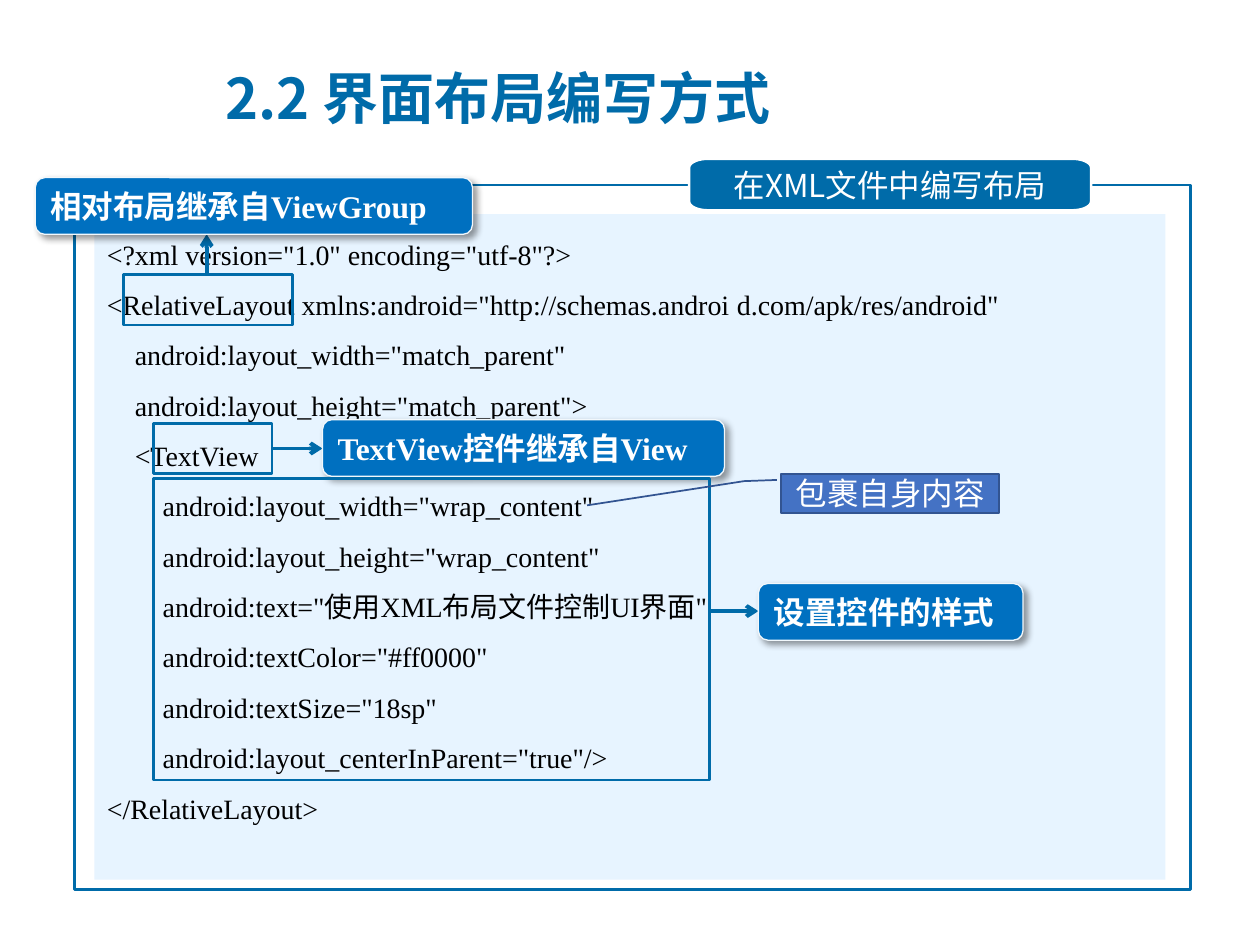
from dataclasses import dataclass
from math import cos, radians, sin

from lxml import etree
from pptx import Presentation
from pptx import util as u
from pptx.dml.color import RGBColor
from pptx.enum import shapes, text
from pptx.oxml.ns import qn

COLORS = {
    "theme": "006BA9", "label": "0070C0", "label_edge": "F2F8FC",
    "code_fill": "E7F4FF", "callout": "4472C4", "callout_edge": "325491",
    "white": "FFFFFF", "black": "000000",
}
SANS, SERIF = "Noto Sans CJK SC", "Times New Roman"
SHAPE = shapes.MSO_SHAPE
LEFT, CENTER = text.PP_ALIGN.LEFT, text.PP_ALIGN.CENTER
TOP, MIDDLE = text.MSO_ANCHOR.TOP, text.MSO_ANCHOR.MIDDLE

CODE = """<?xml version="1.0" encoding="utf-8"?>
<RelativeLayout xmlns:android="http://schemas.androi\td.com/apk/res/android"
    android:layout_width="match_parent"
    android:layout_height="match_parent">
    <TextView
        android:layout_width="wrap_content"
        android:layout_height="wrap_content"
        android:text="使用XML布局文件控制UI界面"
        android:textColor="#ff0000"
        android:textSize="18sp"
        android:layout_centerInParent="true"/>
</RelativeLayout>"""


@dataclass
class Box:
    left: float
    top: float
    width: float
    height: float

    def points(self) -> list:
        return [u.Pt(v) for v in (self.left, self.top, self.width, self.height)]


@dataclass
class Style:
    size: float
    color: str = "white"
    font: str = SERIF
    bold: bool = False
    align: int = LEFT
    anchor: int = MIDDLE
    spacing: float = 1.0


@dataclass
class Note:
    words: str
    label: Box
    target: Box
    start: tuple
    end: tuple


NOTES = [
    Note("相对布局继承自ViewGroup", Box(20.2, 101.5, 249.8, 32.4),
         Box(70.6, 157, 96.5, 28.8), (118.1, 157), (118.1, 133.9)),
    Note("TextView控件继承自View", Box(184.3, 239.8, 229.7, 32.4),
         Box(87.8, 241.9, 67.7, 28.8), (156.2, 256.3), (184.3, 256.3)),
    Note("设置控件的样式", Box(433.4, 333.4, 151.2, 32.4),
         Box(87.8, 273.6, 317.5, 172.1), (405.4, 349.2), (433.4, 349.2)),
]


def rgb(name: str) -> RGBColor:
    return RGBColor.from_string(COLORS[name])


def paint(sp, fill=None, line=None, width: float = 1.5) -> None:
    sp.shadow.inherit = False
    for part, color in ((sp.fill, fill), (sp.line.fill, line)):
        if color:
            part.solid()
            part.fore_color.rgb = rgb(color)
        else:
            part.background()
    if line:
        sp.line.width = u.Pt(width)


def add_box(s, kind: int, box: Box, fill=None, line=None, width: float = 1.5):
    sp = s.shapes.add_shape(kind, *box.points())
    paint(sp, fill, line, width)
    return sp


def write(sp, words: str, style: Style) -> None:
    tf = sp.text_frame
    tf.text = words
    tf.word_wrap = True
    tf.vertical_anchor = style.anchor
    for p in tf.paragraphs:
        p.alignment = style.align
        p.line_spacing = style.spacing
        for r in p.runs:
            r.font.size = u.Pt(style.size)
            r.font.bold = style.bold
            r.font.color.rgb = rgb(style.color)
            r.font.name = style.font
            ea = etree.SubElement(r.font._element, qn("a:ea"))
            ea.set("typeface", SANS)


def add_arrow(s, start: tuple, end: tuple) -> None:
    ends = [u.Pt(v) for v in (*start, *end)]
    line = s.shapes.add_connector(shapes.MSO_CONNECTOR.STRAIGHT, *ends)
    line.line.color.rgb = rgb("theme")
    line.line.width = u.Pt(2.25)
    etree.SubElement(line.line._get_or_add_ln(), qn("a:tailEnd")).set("type", "arrow")
    etree.SubElement(line._element.spPr, qn("a:effectLst"))


def add_shadow(sp) -> None:
    effects = sp._element.spPr.find(qn("a:effectLst"))
    shadow = etree.SubElement(
        effects, qn("a:outerShdw"), blurRad=str(u.Pt(4)), dist=str(u.Pt(3)),
        dir=str(45 * 60000), algn="tl", rotWithShape="0")
    color = etree.SubElement(shadow, qn("a:srgbClr"), val=COLORS["black"])
    etree.SubElement(color, qn("a:alpha"), val="40000")


def add_note(s, note: Note) -> None:
    add_box(s, SHAPE.RECTANGLE, note.target, line="theme")
    add_arrow(s, note.start, note.end)
    sp = add_box(s, SHAPE.ROUNDED_RECTANGLE, note.label, "label", "label_edge", 0.75)
    add_shadow(sp)
    write(sp, note.words, Style(18, bold=True))
    sp.text_frame.auto_size = text.MSO_AUTO_SIZE.SHAPE_TO_FIT_TEXT


def add_tab(s, box: Box, rx: float, ry: float, words: str) -> None:
    right, bottom = box.left + box.width, box.top + box.height
    corners = [
        (box.left + rx, box.top + ry, 180), (right - rx, box.top + ry, 270),
        (right - rx, bottom - ry, 0), (box.left + rx, bottom - ry, 90),
    ]
    outline = [
        (u.Pt(x + rx * cos(radians(first + step))),
         u.Pt(y + ry * sin(radians(first + step))))
        for x, y, first in corners for step in range(0, 91, 10)
    ]
    builder = s.shapes.build_freeform(*outline[0])
    builder.add_line_segments(outline[1:], close=True)
    sp = builder.convert_to_shape()
    paint(sp, "theme", "white")
    tf = sp.text_frame
    tf.margin_left = tf.margin_right = u.Pt(17)
    tf.margin_top = tf.margin_bottom = u.Pt(4.3)
    write(sp, words, Style(18, font=SANS, align=CENTER))


def add_title(s, box: Box, words: str) -> None:
    sp = s.shapes.add_textbox(*box.points())
    write(sp, words, Style(32, "theme", SANS, bold=True))
    pPr = sp.text_frame.paragraphs[0]._p.get_or_add_pPr()
    pPr.set("marL", str(u.Pt(45)))
    pPr.set("indent", str(u.Pt(-45)))


def main() -> None:
    prs = Presentation()
    prs.slide_width, prs.slide_height = u.Pt(720), u.Pt(540)
    s = prs.slides.add_slide(prs.slide_layouts[6])

    add_box(s, SHAPE.RECTANGLE, Box(42.5, 105.8, 637.9, 402.5), line="theme")
    add_tab(s, Box(393.8, 90.7, 229.7, 29.5), 10.8, 5, "在XML文件中编写布局")
    code = add_box(s, SHAPE.RECTANGLE, Box(54, 122.4, 612, 380.2), "code_fill")
    write(code, CODE, Style(16, "black", anchor=TOP, spacing=1.5))
    add_title(s, Box(121.7, 33.8, 389.5, 43.9), "2.2 界面布局编写方式")

    for note in NOTES:
        add_note(s, note)

    callout = add_box(s, SHAPE.LINE_CALLOUT_2, Box(446.4, 270.7, 124.6, 22.3),
                      "callout", "callout_edge", 1)
    for i, value in enumerate((0.16, -0.02, 0.19, -0.17, 0.81, -0.89)):
        callout.adjustments[i] = value
    write(callout, "包裹自身内容", Style(18, font="Arial", align=CENTER))

    prs.save("out.pptx")


if __name__ == "__main__":
    main()
